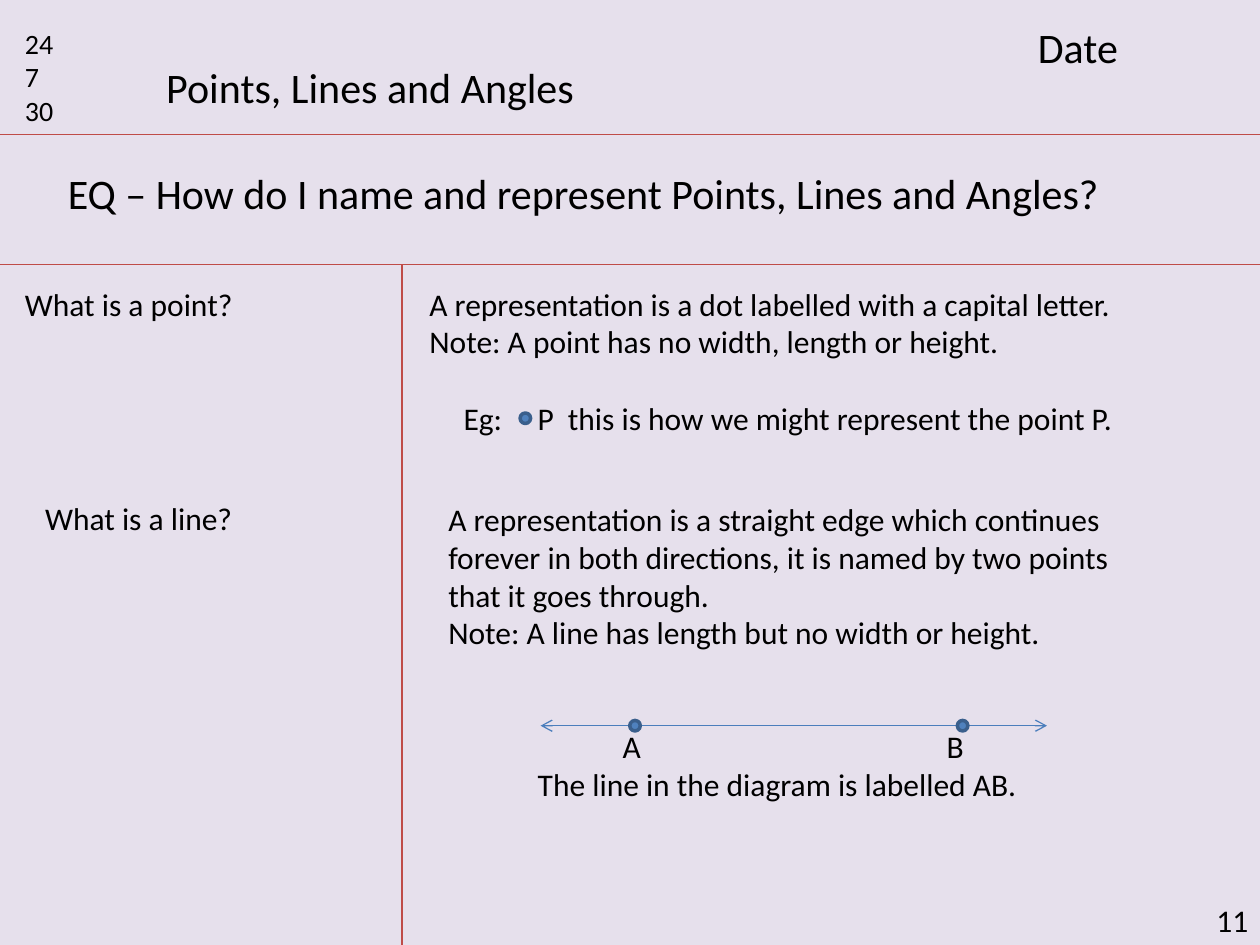
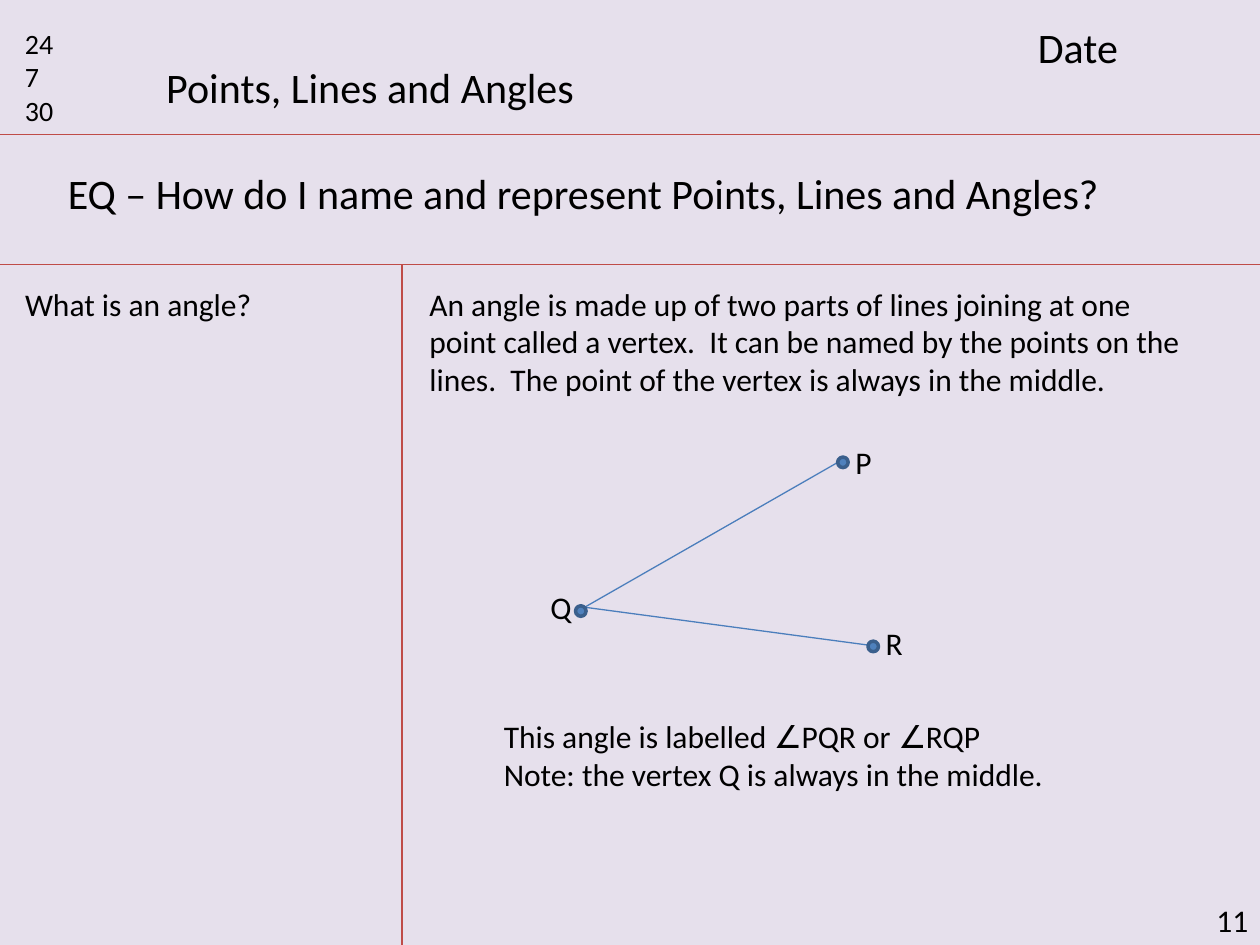
from pptx import Presentation
from pptx.dml.color import RGBColor
from pptx.enum.shapes import MSO_CONNECTOR as Connector, MSO_SHAPE as Shape
from pptx.enum.text import MSO_ANCHOR as Anchor, MSO_AUTO_SIZE as AutoSize, PP_ALIGN as Align
from pptx.oxml.ns import qn
from pptx.util import Pt
from lxml.etree import SubElement

# Shared style
LAVENDER = RGBColor(0xE6, 0xE0, 0xEC)
BLACK = RGBColor(0x00, 0x00, 0x00)
RED = RGBColor(0xBF, 0x4C, 0x48)
LINE_BLUE = RGBColor(0x4B, 0x7E, 0xBC)
DOT_BLUE = RGBColor(0x4F, 0x81, 0xBD)
DOT_EDGE = RGBColor(0x3A, 0x5F, 0x8C)
FONT = "Calibri"
HEADING_SIZE, BODY_SIZE, TIMER_SIZE = 24, 18, 16
WIDTH, HEIGHT = 720, 540
DOT_SIZE = 6
TITLE_RULE, QUESTION_RULE, COLUMN_RULE = 77, 151.2, 229.7
CUE_LEFT, NOTES_LEFT, FIRST_ROW = 7.2, 238.3, 159.1

# Content shared by the slides: (lines, (left, top, width, height), size)
TITLE = (["Points, Lines and Angles"], (87.8, 31.7, 250, 36), HEADING_SIZE)
FRAME_TEXTS = [
    (["24", "7", "30"], (CUE_LEFT, 11.5, 45, 65.5), TIMER_SIZE),
    (["Date"], (586, 8.6, 124.5, 36), HEADING_SIZE),
    (["EQ – How do I name and represent Points, Lines and Angles?"],
     (31.7, 92.2, 609, 36), HEADING_SIZE),
    (["11"], (688, 511.2, 32, 29), BODY_SIZE),
]

# Diagram points, by their centres
LINE_Y = 414.7
P_DOT, Q_DOT, R_DOT = (481.7, 264.2), (331.9, 349.2), (499, 369.4)
VERTEX = (334.1, 347)

# Content of each slide; "tabs" apply to lines holding a tab, "wrap" to long text
PAGES = [
    {
        "texts": [
            {"lines": ["What is a point?"], "at": (CUE_LEFT, FIRST_ROW, 134.6, 29)},
            {"lines": ["A representation is a dot labelled with a capital letter.",
                       "Note: A point has no width, length or height."],
             "at": (NOTES_LEFT, FIRST_ROW, 409, 51)},
            {"lines": ["Eg:\tP\tthis is how we might represent the point P."],
             "at": (257.8, 224.6, 414, 29), "tabs": (42.3, 59.6)},
            {"lines": ["What is a line?"], "at": (18.7, 281.5, 123, 29)},
            {"lines": ["A representation is a straight edge which continues forever in both "
                       "directions, it is named by two points that it goes through.",
                       "Note: A line has length but no width or height."],
             "at": (249.1, 282.2, 422.6, 94), "wrap": True},
            {"lines": ["\tA\tB", "The line in the diagram is labelled AB."],
             "at": (300.2, 411.8, 301, 51), "tabs": (48.5, 233.7)},
        ],
        "lines": [((308.9, LINE_Y), (598.3, LINE_Y))],
        "arrows": True,
        "dots": [(300.2, 239), (362.9, LINE_Y), (550.1, LINE_Y)],
    },
    {
        "texts": [
            {"lines": ["What is an angle?"], "at": (CUE_LEFT, FIRST_ROW, 145.4, 29)},
            {"lines": ["An angle is made up of two parts of lines joining at one point called "
                       "a vertex.  It can be named by the points on the lines.  The point of "
                       "the vertex is always in the middle."],
             "at": (NOTES_LEFT, FIRST_ROW, 444.2, 73), "wrap": True},
            {"lines": ["P"], "at": (481.7, 249.8, 28, 29)},
            {"lines": ["Q"], "at": (307.4, 332.6, 28, 29)},
            {"lines": ["R"], "at": (499, 352.8, 28, 29)},
            {"lines": ["This angle is labelled ∠PQR or ∠RQP",
                       "Note: the vertex Q is always in the middle."],
             "at": (280.8, 406.1, 326.9, 51)},
        ],
        "lines": [((478.8, P_DOT[1]), VERTEX), ((501.8, R_DOT[1]), VERTEX)],
        "arrows": False,
        "dots": [Q_DOT, R_DOT, P_DOT],
    },
]


def write(box, lines, size, wrap=False, tabs=()):
    frame = box.text_frame
    frame.text = "\n".join(lines)
    frame.word_wrap = wrap
    frame.auto_size = AutoSize.NONE
    frame.vertical_anchor = Anchor.TOP
    for para in frame.paragraphs:
        para.alignment = Align.LEFT
        if "\t" in para.text:
            stops = SubElement(para._p.get_or_add_pPr(), qn("a:tabLst"))
            for stop in tabs:
                SubElement(stops, qn("a:tab"), pos=str(Pt(stop)), algn="l")
        para.font.name = FONT
        para.font.size = Pt(size)
        para.font.color.rgb = BLACK


def add_text(page, lines, at, size=BODY_SIZE, wrap=False, tabs=()):
    box = page.shapes.add_textbox(*map(Pt, at))
    write(box, lines, size, wrap, tabs)


def add_line(page, start, end, color, arrows=False):
    line = page.shapes.add_connector(Connector.STRAIGHT, *map(Pt, start + end))
    line.line.color.rgb = color
    line.line.width = Pt(0.75)
    if arrows:
        for tip in ("a:headEnd", "a:tailEnd"):
            SubElement(line.line._get_or_add_ln(), qn(tip), type="arrow")
    SubElement(line._element.spPr, qn("a:effectLst"))


def add_dot(page, center):
    left, top = (value - DOT_SIZE / 2 for value in center)
    dot = page.shapes.add_shape(Shape.OVAL, *map(Pt, (left, top, DOT_SIZE, DOT_SIZE)))
    dot.shadow.inherit = False
    dot.fill.solid()
    dot.fill.fore_color.rgb = DOT_BLUE
    dot.line.color.rgb = DOT_EDGE
    dot.line.width = Pt(2)


def add_frame(page):
    # Title, rules and the texts common to every slide
    lines, at, size = TITLE
    title = page.shapes.title
    title.left, title.top, title.width, title.height = map(Pt, at)
    write(title, lines, size)
    for y in (TITLE_RULE, QUESTION_RULE):
        add_line(page, (0, y), (WIDTH, y), RED)
    add_line(page, (COLUMN_RULE, QUESTION_RULE), (COLUMN_RULE, HEIGHT), RED)
    for lines, at, size in FRAME_TEXTS:
        add_text(page, lines, at, size)


def main():
    deck = Presentation()
    deck.slide_width, deck.slide_height = Pt(WIDTH), Pt(HEIGHT)
    background = deck.slide_master.background.fill
    background.solid()
    background.fore_color.rgb = LAVENDER
    title_only = deck.slide_layouts[5]

    for content in PAGES:
        page = deck.slides.add_slide(title_only)
        add_frame(page)
        for start, end in content["lines"]:
            add_line(page, start, end, LINE_BLUE, content["arrows"])
        for center in content["dots"]:
            add_dot(page, center)
        for text in content["texts"]:
            add_text(page, **text)

    deck.save("out.pptx")


if __name__ == "__main__":
    main()
